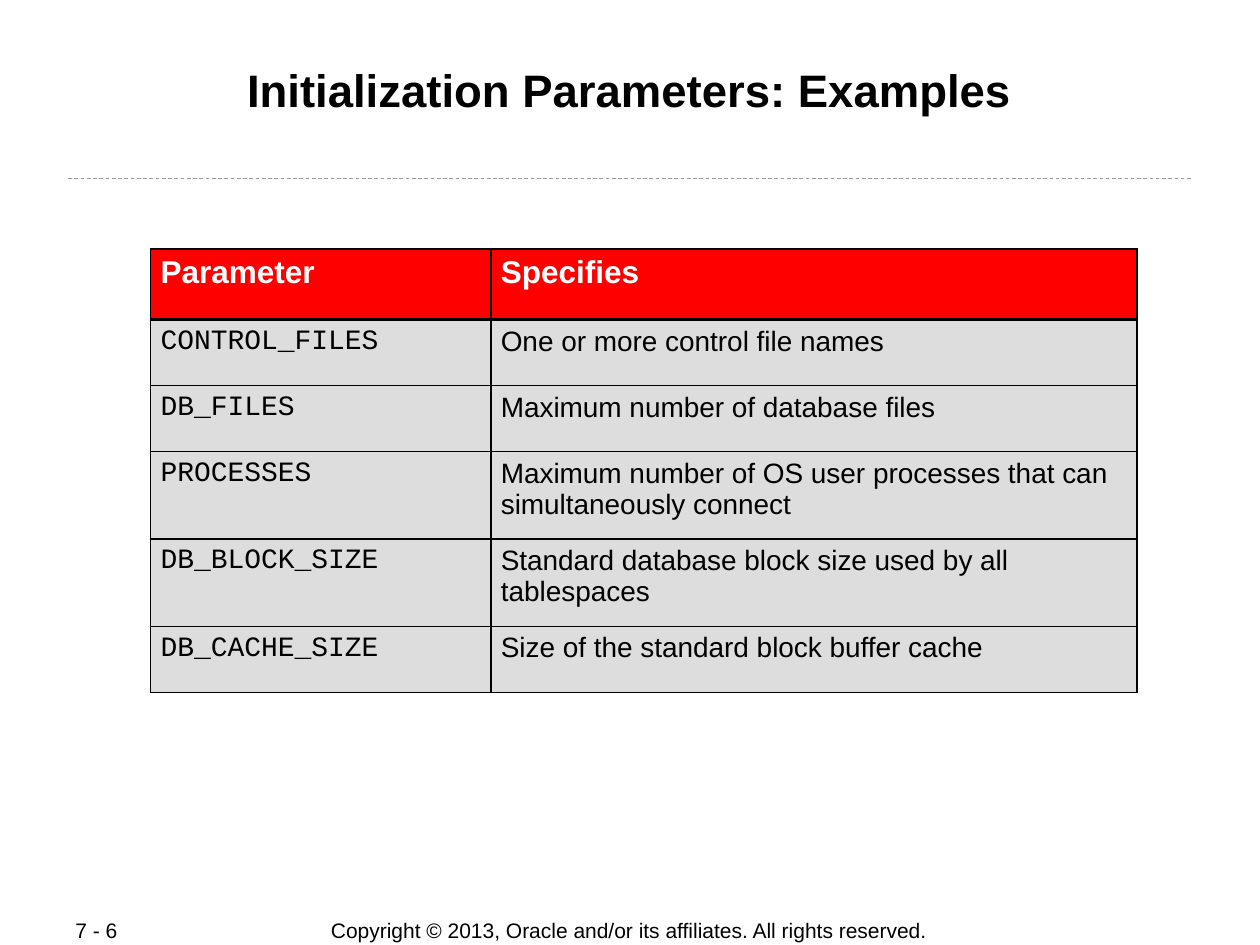
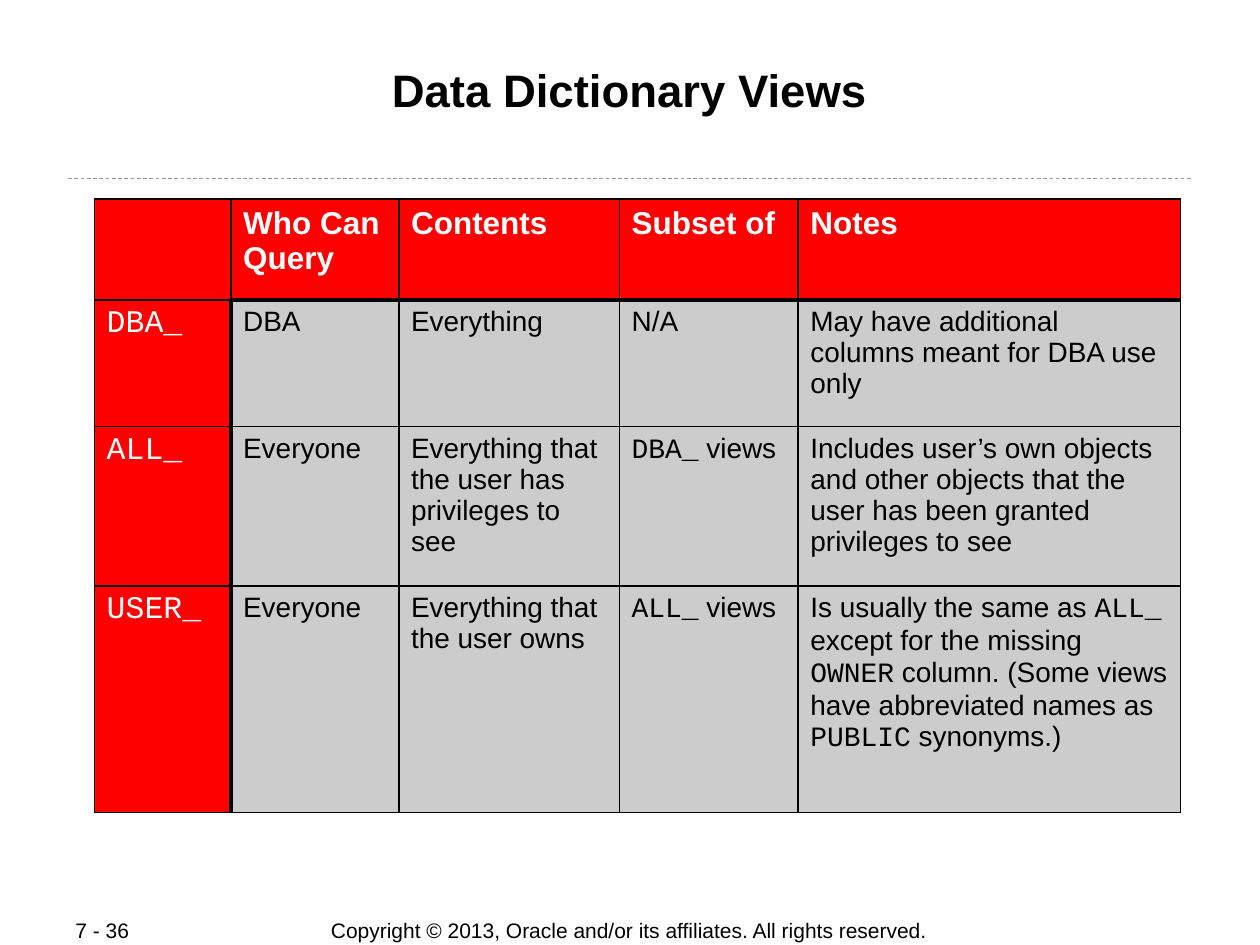
from dataclasses import dataclass

from lxml.etree import SubElement
from pptx import Presentation
from pptx.dml.color import RGBColor
from pptx.enum.dml import MSO_LINE
from pptx.enum.shapes import MSO_CONNECTOR
from pptx.enum.text import MSO_ANCHOR, PP_ALIGN
from pptx.oxml.ns import qn
from pptx.util import Pt


@dataclass(frozen=True)
class Theme:
    ink: str = "000000"
    paper: str = "FFFFFF"
    header: str = "FF0000"
    light_body: str = "DDDDDD"
    dark_body: str = "CCCCCC"
    divider: str = "999999"
    text_font: str = "Arial"
    code_font: str = "Courier New"
    title_size: float = 26
    header_size: float = 18
    body_size: float = 16
    footer_size: float = 12
    thin_border: float = 1.08
    heavy_border: float = 2.21


THEME = Theme()
COPYRIGHT = "Copyright © 2013, Oracle and/or its affiliates. All rights reserved."

PARAMETERS = [
    ["Parameter", "Specifies"],
    ["`CONTROL_FILES`", "One or more control file names"],
    ["`DB_FILES`", "Maximum number of database files"],
    ["`PROCESSES`", "Maximum number of OS user processes that can simultaneously connect"],
    ["`DB_BLOCK_SIZE`", "Standard database block size used by all tablespaces"],
    ["`DB_CACHE_SIZE`", "Size of the standard block buffer cache"],
]

VIEWS = [
    ["", "Who Can Query", "Contents", "Subset of", "Notes"],
    ["`DBA_`", "DBA", "Everything", "N/A",
     "May have additional columns meant for DBA use only"],
    ["`ALL_`", "Everyone", "Everything that the user has privileges to see",
     "`DBA_` views",
     "Includes user’s own objects and other objects that the user has been "
     "granted privileges to see"],
    ["`USER_`", "Everyone", "Everything that the user owns", "`ALL_` views",
     "Is usually the same as `ALL_` except for the missing `OWNER` column. "
     "(Some views have abbreviated names as `PUBLIC` synonyms.)"],
]


def write(paragraph, text, size, color=THEME.ink, bold=False):
    for index, part in enumerate(text.split("`")):
        if not part:
            continue
        is_code = index % 2 == 1
        run = paragraph.add_run()
        run.text = part
        run.font.name = THEME.code_font if is_code else THEME.text_font
        run.font.size = Pt(size)
        run.font.bold = bold and not is_code
        run.font.color.rgb = RGBColor.from_string(color)


def add_text(slide, text, box, size, align=PP_ALIGN.LEFT, bold=False,
             anchor=MSO_ANCHOR.MIDDLE, margins=(7.2, 3.6)):
    frame = slide.shapes.add_textbox(*map(Pt, box)).text_frame
    frame.word_wrap = True
    frame.vertical_anchor = anchor
    set_margins(frame, *margins)
    frame.paragraphs[0].alignment = align
    write(frame.paragraphs[0], text, size, bold=bold)


def set_margins(holder, side, vertical):
    holder.margin_left = holder.margin_right = Pt(side)
    holder.margin_top = holder.margin_bottom = Pt(vertical)


def add_divider(slide):
    divider = slide.shapes.add_connector(
        MSO_CONNECTOR.STRAIGHT, Pt(39), Pt(102), Pt(681), Pt(102))
    divider.line.color.rgb = RGBColor.from_string(THEME.divider)
    divider.line.width = Pt(0.5)
    divider.line.dash_style = MSO_LINE.DASH
    SubElement(divider._element.spPr, qn("a:effectLst"))


def add_border(cell, edge, width):
    border = SubElement(cell._tc.get_or_add_tcPr(), qn(f"a:ln{edge}"), w=str(Pt(width)))
    fill = SubElement(border, qn("a:solidFill"))
    SubElement(fill, qn("a:srgbClr"), val=THEME.ink)


def add_grid(slide, rows, origin, widths, heights, body_color, side_margin,
             header_columns=0):
    table = slide.shapes.add_table(
        len(heights), len(widths), *map(Pt, origin),
        Pt(sum(widths)), Pt(sum(heights))).table
    table.first_row = table.horz_banding = False
    for column, width in zip(table.columns, widths):
        column.width = Pt(width)
    for row, height in zip(table.rows, heights):
        row.height = Pt(height)

    def is_header(r, c):
        return r == 0 or c < header_columns

    neighbours = {"L": (0, -1), "R": (0, 1), "T": (-1, 0), "B": (1, 0)}
    for r, texts in enumerate(rows):
        for c, text in enumerate(texts):
            cell = table.cell(r, c)
            header = is_header(r, c)
            set_margins(cell, side_margin, 3.6)
            for edge, (down, right) in neighbours.items():
                near_r, near_c = r + down, c + right
                inside = 0 <= near_r < len(rows) and 0 <= near_c < len(texts)
                heavy = inside and is_header(near_r, near_c) != header
                add_border(cell, edge, THEME.heavy_border if heavy else THEME.thin_border)
            cell.fill.solid()
            cell.fill.fore_color.rgb = RGBColor.from_string(
                THEME.header if header else body_color)
            write(cell.text_frame.paragraphs[0], text,
                  THEME.header_size if header else THEME.body_size,
                  THEME.paper if header else THEME.ink, bold=header)


def add_page(deck, title, number):
    slide = deck.slides.add_slide(deck.slide_layouts[6])
    add_text(slide, COPYRIGHT, (169.5, 524, 380, 15), THEME.footer_size, PP_ALIGN.CENTER)
    add_divider(slide)
    add_text(slide, f"7 - {number}", (36, 524, 76, 15), THEME.footer_size)
    add_text(slide, title, (47.7, 34.6, 624, 66), THEME.title_size, PP_ALIGN.CENTER,
             bold=True, anchor=MSO_ANCHOR.TOP, margins=(0.7, 0.7))
    return slide


def main():
    deck = Presentation()
    deck.slide_width, deck.slide_height = Pt(720), Pt(540)

    parameters = add_page(deck, "Initialization Parameters: Examples", 6)
    add_grid(parameters, PARAMETERS, (86, 142.2), (194.4, 369.5),
             (40.5, 37.7, 37.7, 50, 50, 37.7), THEME.light_body, 5.8)

    views = add_page(deck, "Data Dictionary Views", 36)
    add_grid(views, VIEWS, (54, 113.8), (78, 96, 126, 102.2, 218.4),
             (57.7, 72.3, 91, 129.5), THEME.dark_body, 7, header_columns=1)

    deck.save("out.pptx")


if __name__ == "__main__":
    main()
